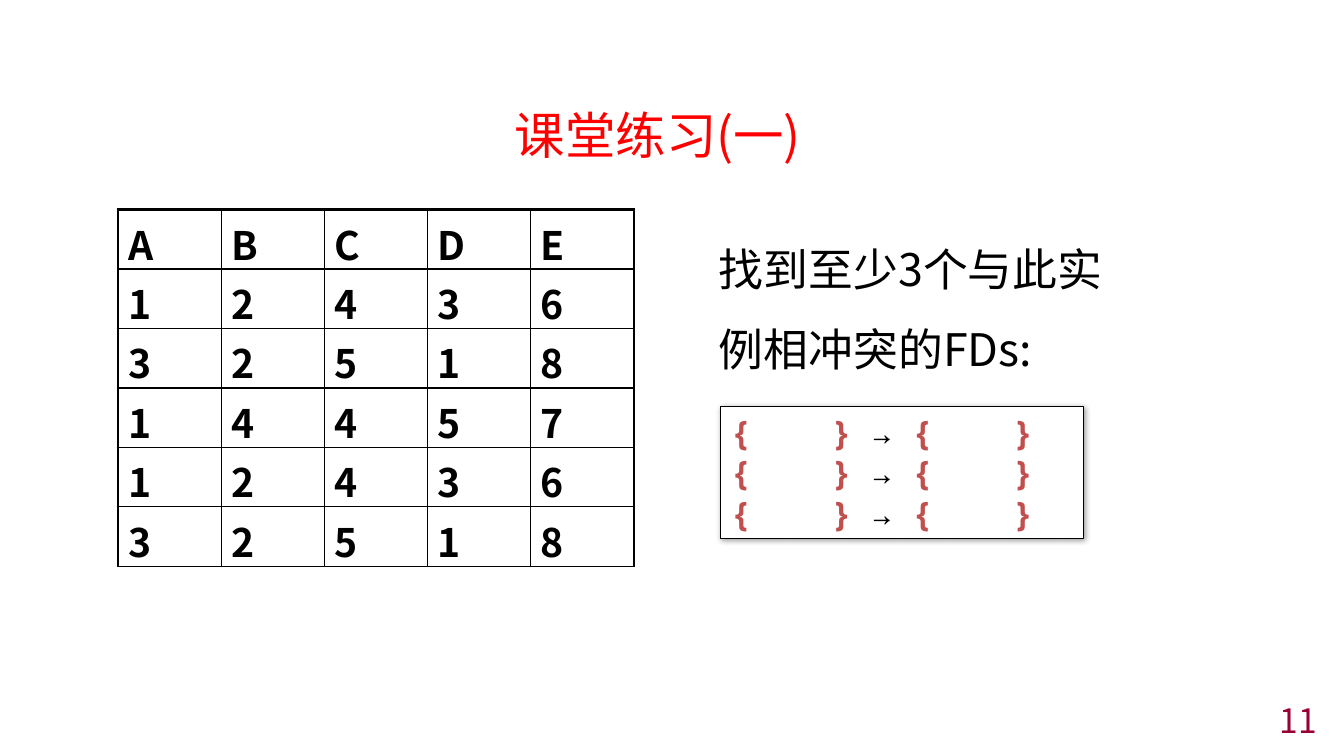
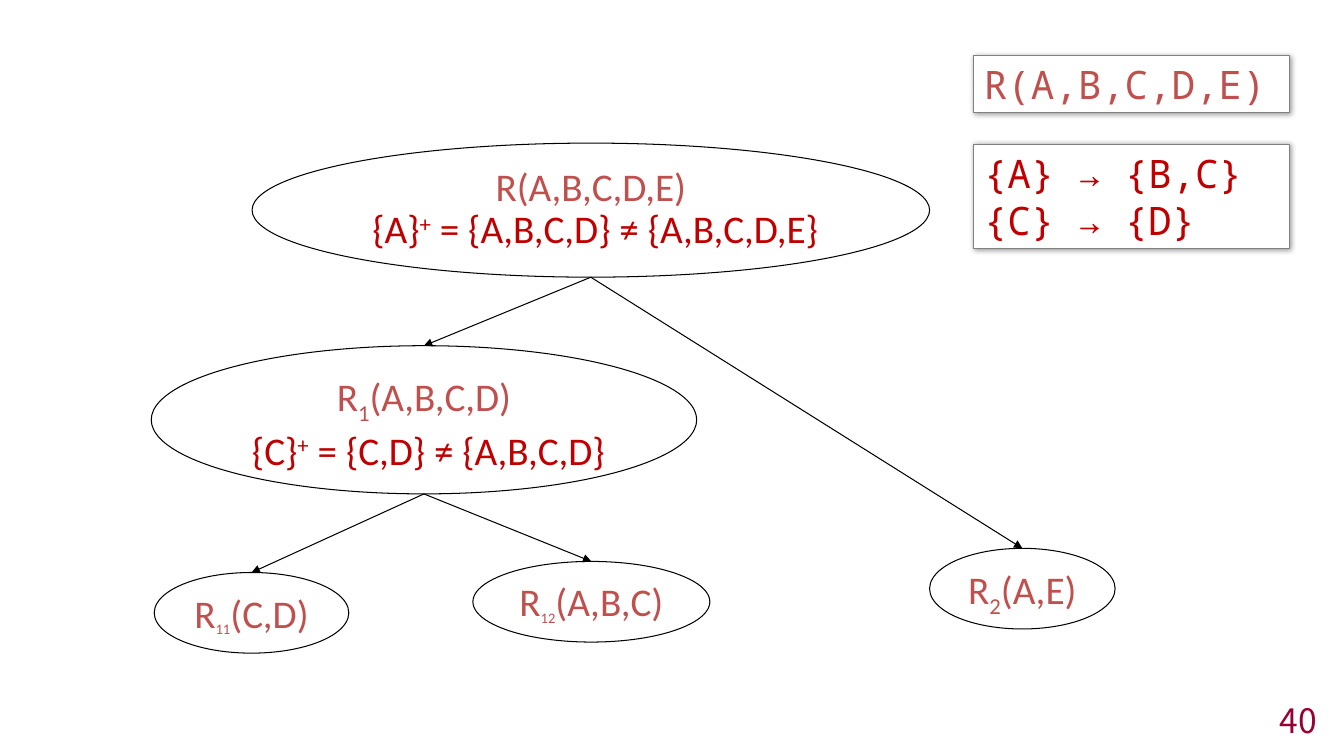
from lxml.etree import SubElement
from pptx import Presentation
from pptx.dml.color import RGBColor
from pptx.enum.shapes import MSO_CONNECTOR as Line, MSO_SHAPE as Shape
from pptx.enum.text import MSO_ANCHOR as Anchor, PP_ALIGN as Align
from pptx.oxml.ns import qn
from pptx.util import Inches, Pt

COLORS = {
    "black": "000000",
    "white": "FFFFFF",
    "gray": "808080",
    "title": "FF0000",
    "page": "990033",
    "rose": "C0504D",
    "red": "C00000",
}
SANS, MONO, BODY = "Noto Sans CJK SC", "Noto Sans Mono", "Calibri"


def rgb(name):
    return RGBColor.from_string(COLORS[name])


def style(font, face, size, color, bold=False):
    """Set a font for Latin and East Asian letters alike."""
    font.name, font.size, font.bold = face, Pt(size), bold
    font.color.rgb = rgb(color)
    SubElement(font._element, qn("a:ea")).set("typeface", face)


prs = Presentation()
prs.slide_width, prs.slide_height = Inches(13.33), Inches(7.5)
quiz = prs.slides.add_slide(prs.slide_layouts[5])
tree = prs.slides.add_slide(prs.slide_layouts[6])

# Page numbers
for slide, num in ((quiz, "11"), (tree, "40")):
    box = slide.shapes.add_textbox(
        Inches(10.33), Inches(6.99), Inches(2.83), Inches(0.31))
    frame = box.text_frame
    frame.word_wrap, frame.vertical_anchor = True, Anchor.MIDDLE
    para = frame.paragraphs[0]
    para.text, para.alignment = num, Align.RIGHT
    style(para.font, SANS, 24, "page")

# Exercise: title, table and question
title = quiz.shapes.title
title.left, title.top = Inches(0.65), Inches(0.92)
title.width, title.height = Inches(11.75), Inches(0.9)
title.text_frame.vertical_anchor = Anchor.TOP
para = title.text_frame.paragraphs[0]
para.text, para.alignment, para.line_spacing = "课堂练习(一)", Align.CENTER, 1.1
style(para.font, SANS, 36, "title")

ROWS = ["ABCDE", "12436", "32518", "14457", "12436", "32518"]
table = quiz.shapes.add_table(
    len(ROWS), len(ROWS[0]), Inches(1.17), Inches(2.08),
    Inches(5.12), Inches(3.54)).table
table.first_row = table.horz_banding = False
for i, row in enumerate(ROWS):
    for j, text in enumerate(row):
        cell = table.cell(i, j)
        para = cell.text_frame.paragraphs[0]
        para.text, para.space_before = text, Pt(5.6)
        style(para.font, SANS, 28, "black", True)
        props = cell._tc.get_or_add_tcPr()
        thick = {"L": j == 0, "R": False, "T": i < 2, "B": i == 0}
        for side, heavy in thick.items():
            edge = SubElement(props, qn("a:ln" + side))
            edge.set("w", str(Pt(2.25 if heavy else 1)))
            fill = SubElement(edge, qn("a:solidFill"))
            SubElement(fill, qn("a:srgbClr")).set("val", COLORS["black"])
        cell.fill.background()

box = quiz.shapes.add_textbox(
    Inches(7.03), Inches(2.08), Inches(4.21), Inches(1.62))
box.text_frame.word_wrap = True
para = box.text_frame.paragraphs[0]
para.text, para.line_spacing = "找到至少3个与此实例相冲突的FDs:", 1.5
style(para.font, SANS, 32, "black")

# Shadowed cards: slide, place, border, anchor, size, bold, lines of runs
blank = [("{    }", "rose"), (" → ", "black"), ("{    }", "rose")]
CARDS = [
    (quiz, (7.15, 4.03, 3.6, 1.31), "black", Anchor.MIDDLE, 24, True,
     [blank] * 3),
    (tree, (9.66, 0.55, 3.13, 0.57), "gray", Anchor.TOP, 28, False,
     [[("R(A,B,C,D,E)", "rose")]]),
    (tree, (9.66, 1.43, 3.13, 1.04), "gray", Anchor.TOP, 28, False,
     [[("{A} → {B,C}", "red")], [("{C} → {D}", "red")]]),
]
for slide, place, border, anchor, size, bold, lines in CARDS:
    card = slide.shapes.add_shape(Shape.RECTANGLE, *map(Inches, place))
    card.fill.solid()
    card.fill.fore_color.rgb = rgb("white")
    card.line.color.rgb, card.line.width = rgb(border), Pt(0.75)
    card.shadow.inherit = False
    effects = card._element.spPr.find(qn("a:effectLst"))
    shade = SubElement(effects, qn("a:outerShdw"), blurRad=str(Pt(4)),
                       dist=str(Pt(1)), dir="2700000", algn="tl")
    tint = SubElement(shade, qn("a:srgbClr"), val=COLORS["black"])
    SubElement(tint, qn("a:alpha"), val="40000")
    frame = card.text_frame
    frame.word_wrap, frame.vertical_anchor = True, anchor
    for k, line in enumerate(lines):
        para = frame.add_paragraph() if k else frame.paragraphs[0]
        para.alignment = Align.LEFT
        style(para.font, MONO, size, line[0][1], bold)
        for text, color in line:
            run = para.add_run()
            run.text = text
            run.font.color.rgb = rgb(color)

# Decomposition tree: place, line spacing, anchor, index, index size,
# attributes, closure as (set, result)
NODES = {
    "R": ((2.5, 1.42, 6.72, 1.33), 0.9, Anchor.TOP, "", 28, "(A,B,C,D,E)",
          ("{A}", " = {A,B,C,D} ≠ {A,B,C,D,E}")),
    "R1": ((1.5, 3.43, 5.41, 1.47), 1, Anchor.TOP, "1", 28, "(A,B,C,D)",
           ("{C}", " = {C,D} ≠ {A,B,C,D}")),
    "R2": ((9.22, 5.44, 1.84, 0.8), 1, Anchor.TOP, "2", 28, "(A,E)", None),
    "R11": ((1.53, 5.68, 1.93, 0.8), 1, Anchor.TOP, "11", 18, "(C,D)", None),
    "R12": ((4.69, 5.57, 2.35, 0.8), 1, Anchor.MIDDLE, "12", 18, "(A,B,C)",
            None),
}
ovals = {}
for name, (place, gap, anchor, index, small, attrs, closure) in NODES.items():
    oval = tree.shapes.add_shape(Shape.OVAL, *map(Inches, place))
    oval.fill.background()
    oval.line.color.rgb, oval.line.width = rgb("black"), Pt(0.75)
    oval.shadow.inherit = False
    ovals[name] = oval
    frame = oval.text_frame
    frame.word_wrap, frame.vertical_anchor = False, anchor
    para = frame.paragraphs[0]
    para.alignment, para.line_spacing = Align.CENTER, gap
    style(para.font, BODY, 28, "rose")
    runs = [("R", 0, 28, "rose"), (index, -25, small, "rose"),
            (attrs, 0, 28, "rose")]
    if closure:
        base, result = closure
        runs += [("\n", 0, 28, "rose"), (" " + base, 0, 28, "red"),
                 ("+", 30, 28, "red"), (result, 0, 28, "red")]
    for text, shift, size, color in runs:
        if text == "\n":
            para.add_line_break()
        elif text:
            run = para.add_run()
            run.text = text
            run.font.size, run.font.color.rgb = Pt(size), rgb(color)
            if shift:
                run.font._element.set("baseline", str(shift * 1000))

for top, low in (("R", "R1"), ("R", "R2"), ("R1", "R11"), ("R1", "R12")):
    start, end = ovals[top], ovals[low]
    arrow = tree.shapes.add_connector(
        Line.STRAIGHT, start.left + start.width // 2,
        start.top + start.height, end.left + end.width // 2, end.top)
    arrow.end_connect(end, 0)
    arrow.line.color.rgb, arrow.line.width = rgb("black"), Pt(0.75)
    SubElement(arrow.line._get_or_add_ln(), qn("a:tailEnd"), type="triangle")
    SubElement(arrow._element.spPr, qn("a:effectLst"))

prs.save("out.pptx")
